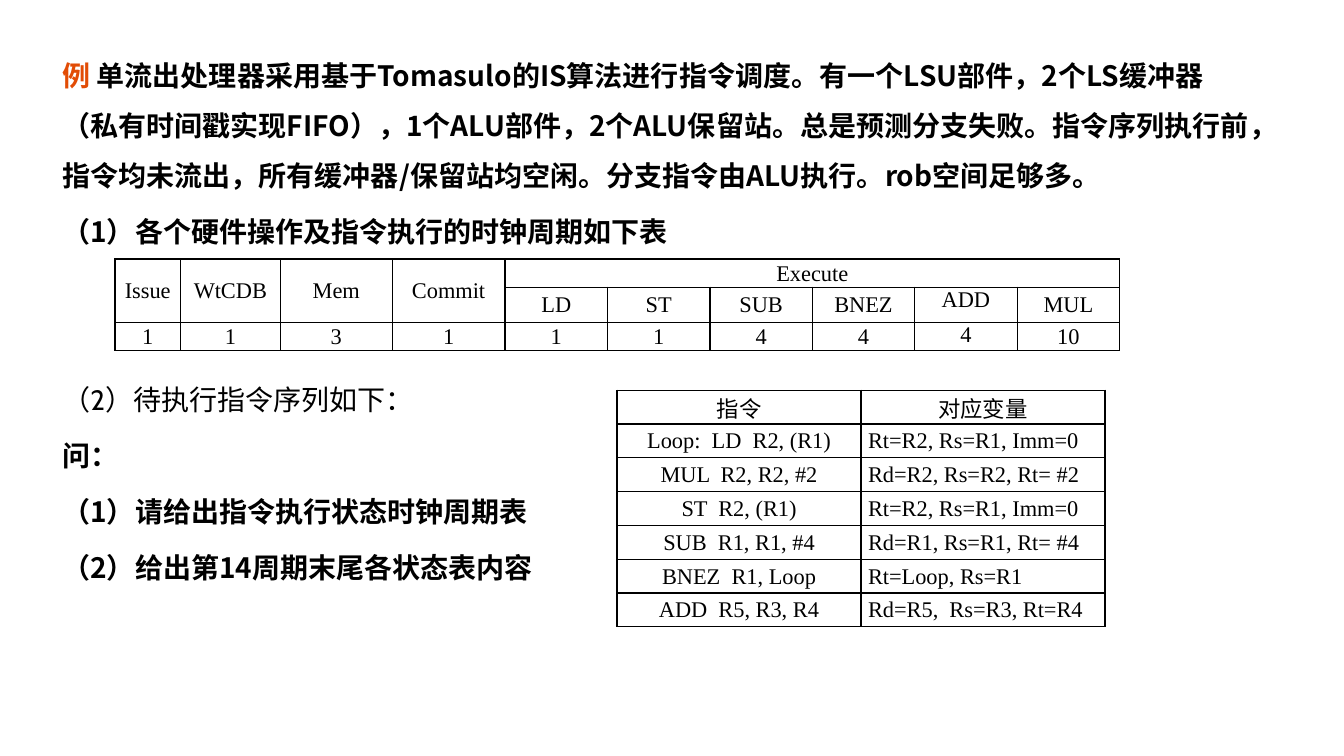
import pptx
import pptx.dml.color
import pptx.enum.text
import pptx.oxml
import pptx.oxml.ns
import pptx.util
from dataclasses import dataclass

Inches = pptx.util.Inches
Pt = pptx.util.Pt
Align = pptx.enum.text.PP_ALIGN
Anchor = pptx.enum.text.MSO_ANCHOR


@dataclass(frozen=True)
class Theme:
    ink: str = "000000"
    accent: str = "E24C05"
    body_font: str = "Noto Sans CJK SC"
    light_font: str = "Cabin"
    table_font: str = "Times New Roman"
    body_size: int = 20
    table_size: int = 16


theme = Theme()


def add_span(para, text, font, size, bold=False, color=theme.ink):
    span = para.add_run()
    span.text = text
    formats = {"name": font, "size": Pt(size), "bold": bold}
    for key, value in formats.items():
        setattr(span.font, key, value)
    span.font.color.rgb = pptx.dml.color.RGBColor.from_string(color)
    east_asian = pptx.oxml.parse_xml(
        f'<a:ea {pptx.oxml.ns.nsdecls("a")} typeface="{theme.body_font}"/>')
    span.font._element.find(pptx.oxml.ns.qn("a:latin")).addnext(east_asian)


def add_grid(page, left, top, widths, heights, rows, side_inset):
    width, height = Inches(sum(widths)), Inches(sum(heights))
    grid = page.shapes.add_table(len(heights), len(widths), Inches(left),
                                 Inches(top), width, height).table
    grid.first_row = grid.horz_banding = False
    for column, size in zip(grid.columns, widths):
        column.width = Inches(size)
    for row, size in zip(grid.rows, heights):
        row.height = Inches(size)
    cell_format = {"vertical_anchor": Anchor.MIDDLE,
                   "margin_left": Inches(side_inset),
                   "margin_right": Inches(side_inset),
                   "margin_top": Inches(0.01), "margin_bottom": 0}
    for row_index, texts in enumerate(rows):
        for column_index, text in enumerate(texts):
            cell = grid.cell(row_index, column_index)
            for key, value in cell_format.items():
                setattr(cell, key, value)
            cell.fill.background()
            properties = cell._tc.get_or_add_tcPr()
            for position, side in enumerate(("lnL", "lnR", "lnT", "lnB")):
                properties.insert(position, pptx.oxml.parse_xml(
                    f'<a:{side} {pptx.oxml.ns.nsdecls("a")} w="12700">'
                    f'<a:solidFill><a:srgbClr val="{theme.ink}"/></a:solidFill>'
                    f'</a:{side}>'))
            para = cell.text_frame.paragraphs[0]
            para.alignment = Align.CENTER
            if text:
                add_span(para, text, theme.table_font, theme.table_size)
            else:
                para.font.size = Pt(theme.table_size)
    return grid


deck = pptx.Presentation()
deck.slide_width, deck.slide_height = Inches(13.33), Inches(7.5)
page = deck.slides.add_slide(deck.slide_layouts[6])

# Problem statement and questions: text, space before, font, bold
statement = (
    "单流出处理器采用基于Tomasulo的IS算法进行指令调度。有一个LSU部件，2个LS缓冲器"
    "（私有时间戳实现FIFO），1个ALU部件，2个ALU保留站。总是预测分支失败。"
    "指令序列执行前，指令均未流出，所有缓冲器/保留站均空闲。"
    "分支指令由ALU执行。rob空间足够多。")
gap, table_gap = 4, 84
lines = [
    (statement, 0, theme.body_font, True),
    ("（1）各个硬件操作及指令执行的时钟周期如下表", gap, theme.body_font, True),
    ("（2）待执行指令序列如下：", table_gap, theme.light_font, False),
    ("问：", gap, theme.body_font, True),
    ("（1）请给出指令执行状态时钟周期表", gap, theme.body_font, True),
    ("（2）给出第14周期末尾各状态表内容", gap, theme.body_font, True),
]
box = page.shapes.add_textbox(Inches(0.52), Inches(0.36), Inches(12.05), Inches(5.98))
frame = box.text_frame
frame.word_wrap = True
for index, (text, space, font, bold) in enumerate(lines):
    para = frame.add_paragraph() if index else frame.paragraphs[0]
    para.line_spacing = 1.5
    para.space_before = Pt(space)
    if index == 0:
        add_span(para, "例 ", font, theme.body_size, bold, theme.accent)
    add_span(para, text, font, theme.body_size, bold)

# Clock cycles of each hardware operation
stages = ["Issue", "WtCDB", "Mem", "Commit"]
operations = ["LD", "ST", "SUB", "BNEZ", "ADD", "MUL"]
cycles = add_grid(
    page, 1.14, 2.57, [0.65, 0.99, 1.11, 1.12] + [1.016] * 6, [0.28, 0.35, 0.28],
    [stages + ["Execute"] + [""] * 5,
     [""] * 4 + operations,
     ["1", "1", "3", "1", "1", "1", "4", "4", "4", "10"]], 0.08)
for column in range(len(stages)):
    cycles.cell(0, column).merge(cycles.cell(1, column))
cycles.cell(0, 4).merge(cycles.cell(0, 9))
for row in (1, 2):
    cycles.cell(row, 8).vertical_anchor = Anchor.TOP
    for column in (8, 9):
        for side in ("left", "right", "top", "bottom"):
            setattr(cycles.cell(row, column), f"margin_{side}", 0)

# Instruction sequence and its variables
instructions = [
    ("指令", "对应变量"),
    ("Loop:  LD  R2, (R1)", "Rt=R2, Rs=R1, Imm=0"),
    ("MUL  R2, R2, #2", "Rd=R2, Rs=R2, Rt= #2"),
    ("ST  R2, (R1)", "Rt=R2, Rs=R1, Imm=0"),
    ("SUB  R1, R1, #4", "Rd=R1, Rs=R1, Rt= #4"),
    ("BNEZ  R1, Loop", "Rt=Loop, Rs=R1"),
    ("ADD  R5, R3, R4", "Rd=R5,  Rs=R3, Rt=R4"),
]
sequence = add_grid(page, 6.12, 3.87, [2.42] * 2, [2.35 / 7] * 7, instructions, 0.07)
for row in range(1, len(instructions)):
    sequence.cell(row, 1).text_frame.paragraphs[0].alignment = Align.JUSTIFY

deck.save("out.pptx")
